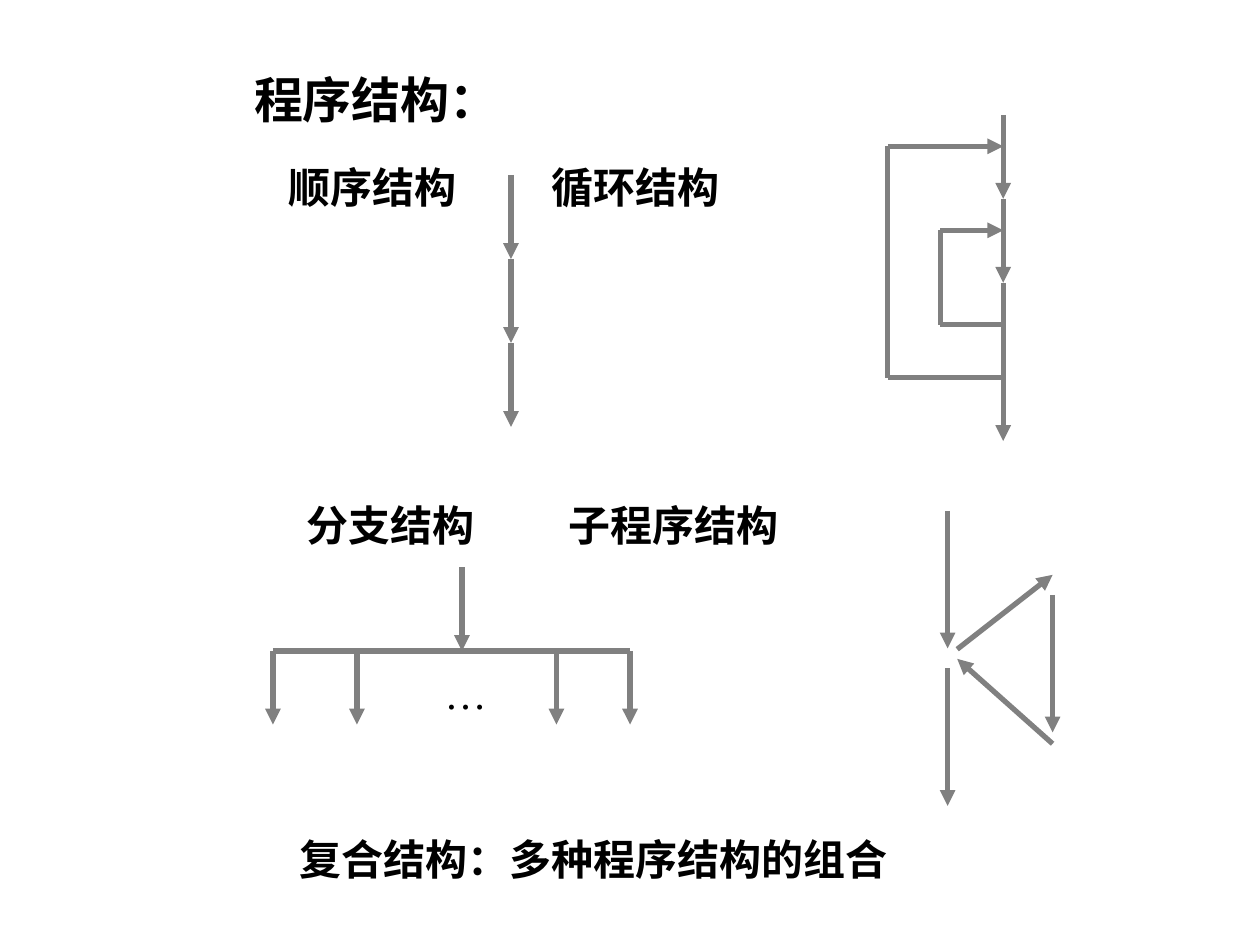
from itertools import pairwise

from lxml.etree import SubElement
from pptx import Presentation
from pptx.dml.color import RGBColor
from pptx.enum.shapes import MSO_CONNECTOR
from pptx.enum.text import MSO_ANCHOR, MSO_AUTO_SIZE, PP_ALIGN
from pptx.oxml.ns import qn
from pptx.util import Pt

COLORS = {"text": "000000", "line": "808080"}
SANS = "Noto Sans CJK SC"
SERIF = "Times New Roman"
COLUMN_TAB = 150


def add_run(paragraph, text, size, latin, east_asian, bold):
    run = paragraph.add_run()
    run.text = text
    font = run.font
    font.size = Pt(size)
    font.bold = bold
    font.color.rgb = RGBColor.from_string(COLORS["text"])
    font.name = latin
    SubElement(run._r.get_or_add_rPr(), qn("a:ea"), typeface=east_asian)


def format_frame(shape, wrap=True, left_inset=7.2):
    frame = shape.text_frame
    frame.word_wrap = wrap
    frame.auto_size = MSO_AUTO_SIZE.NONE
    frame.vertical_anchor = MSO_ANCHOR.TOP
    frame.margin_left = Pt(left_inset)
    paragraph = frame.paragraphs[0]
    paragraph.alignment = PP_ALIGN.LEFT
    return paragraph


def set_title(slide, text):
    title = slide.shapes.title
    title.left, title.top, title.width, title.height = Pt(138), Pt(36), Pt(156), Pt(70)
    add_run(format_frame(title), text, 28, SERIF, SANS, True)


def add_text(slide, left, top, width, text, latin=SERIF, east_asian=SANS, bold=True):
    box = slide.shapes.add_textbox(Pt(left), Pt(top), Pt(width), Pt(36))
    add_run(format_frame(box, False), text, 24, latin, east_asian, bold)


def add_heading_row(slide, left, top, width, headings, left_inset=7.2):
    box = slide.shapes.add_textbox(Pt(left), Pt(top), Pt(width), Pt(36))
    paragraph = format_frame(box, True, left_inset)
    tab_list = SubElement(paragraph._p.get_or_add_pPr(), qn("a:tabLst"))
    SubElement(tab_list, qn("a:tab"), pos=str(Pt(COLUMN_TAB)), algn="l")
    add_run(paragraph, "\t".join(headings), 24, SANS, SANS, True)


def add_line(shapes, start, end, arrow=False):
    points = [Pt(value) for value in (*start, *end)]
    connector = shapes.add_connector(MSO_CONNECTOR.STRAIGHT, *points)
    connector.line.color.rgb = RGBColor.from_string(COLORS["line"])
    connector.line.width = Pt(3)
    if arrow:
        SubElement(connector.line._get_or_add_ln(), qn("a:tailEnd"), type="triangle")
    SubElement(connector._element.spPr, qn("a:effectLst"))


def add_arrow_chain(shapes, x, stops):
    for top, bottom in pairwise(stops):
        add_line(shapes, (x, top), (x, bottom), True)


def add_loop_back(shapes, stem, side, top, bottom):
    add_line(shapes, (stem, bottom), (side, bottom))
    add_line(shapes, (side, bottom), (side, top))
    add_line(shapes, (side, top), (stem, top), True)


def draw_sequence(slide):
    group = slide.shapes.add_group_shape()
    add_arrow_chain(group.shapes, 292, [100, 148, 196, 244])


def draw_loops(slide):
    shapes = slide.shapes.add_group_shape().shapes
    stem = 573.3
    add_arrow_chain(shapes, stem, [65.6, 113.6, 161.6, 252])
    add_loop_back(shapes, stem, 537.3, 131.6, 185.6)
    add_loop_back(shapes, stem, 507.3, 83.6, 215.8)


def draw_branches(slide):
    bar, tips = 372, 414
    branches = [156, 204, 318, 360]
    add_line(slide.shapes, (branches[0], bar), (branches[-1], bar))
    for x in branches:
        add_line(slide.shapes, (x, bar), (x, tips), True)
    add_line(slide.shapes, (264, 324), (264, bar), True)
    add_text(slide, 247, 378, 48, "…", SERIF, SERIF, False)


def draw_subroutine(slide):
    shapes = slide.shapes.add_group_shape().shapes
    caller, near, routine = 541.5, 547, 601.5
    for start, end in [
        ((caller, 292), (caller, 370.5)),
        ((caller, 382), (caller, 460.5)),
        ((near, 371), (routine, 328.5)),
        ((routine, 340), (routine, 418.5)),
        ((routine, 425), (near, 376.5)),
    ]:
        add_line(shapes, start, end, True)


def main():
    presentation = Presentation()
    presentation.slide_width, presentation.slide_height = Pt(720), Pt(540)
    slide = presentation.slides.add_slide(presentation.slide_layouts[5])
    set_title(slide, "程序结构：")
    add_heading_row(slide, 147, 88.5, 350, ["顺序结构", "循环结构"], 18)
    add_heading_row(slide, 168, 282, 366, ["分支结构", "子程序结构"])
    add_text(slide, 164, 472.5, 350, "复合结构：多种程序结构的组合")
    draw_sequence(slide)
    draw_loops(slide)
    draw_branches(slide)
    draw_subroutine(slide)
    presentation.save("out.pptx")


if __name__ == "__main__":
    main()
